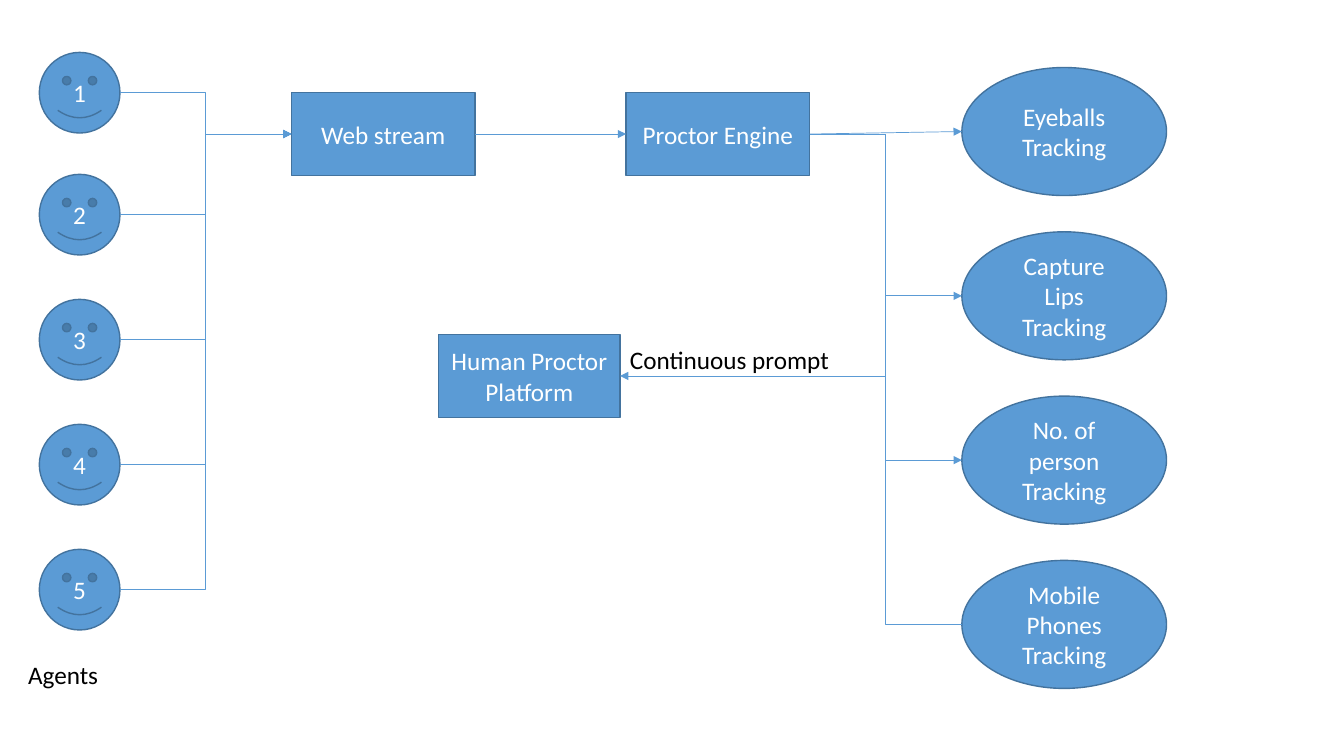
"""Build a slide showing how agents, streams, proctors and trackers connect."""
import lxml.etree
import pptx
import pptx.dml.color
import pptx.enum.shapes
import pptx.enum.text
import pptx.oxml.ns
import pptx.util

Inches = pptx.util.Inches
Kind = pptx.enum.shapes.MSO_SHAPE
Link = pptx.enum.shapes.MSO_CONNECTOR
Align = pptx.enum.text.PP_ALIGN
qn = pptx.oxml.ns.qn


def color(code):
    return pptx.dml.color.RGBColor.from_string(code)


class Board:
    font, size = "Calibri", 18
    fill, edge = "5B9BD5", "43739E"
    light, dark = "FFFFFF", "000000"

    def __init__(self, slide):
        self.shapes = slide.shapes

    def words(self, frame, text, ink, align):
        frame.text = text
        for para in frame.paragraphs:
            para.alignment = align
            for run in para.runs:
                run.font.name = self.font
                run.font.size = pptx.util.Pt(self.size)
                run.font.color.rgb = color(ink)

    def node(self, kind, text, left, top, width, height):
        shape = self.shapes.add_shape(
            kind, Inches(left), Inches(top), Inches(width), Inches(height))
        shape.shadow.inherit = False
        shape.fill.solid()
        shape.fill.fore_color.rgb = color(self.fill)
        shape.line.color.rgb = color(self.edge)
        shape.line.width = pptx.util.Pt(1)
        shape.text_frame.word_wrap = True
        shape.text_frame.vertical_anchor = pptx.enum.text.MSO_ANCHOR.MIDDLE
        self.words(shape.text_frame, text, self.light, Align.CENTER)
        return shape

    def label(self, text, left, top, width, height):
        box = self.shapes.add_textbox(
            Inches(left), Inches(top), Inches(width), Inches(height))
        box.text_frame.word_wrap = False
        box.text_frame.auto_size = pptx.enum.text.MSO_AUTO_SIZE.SHAPE_TO_FIT_TEXT
        self.words(box.text_frame, text, self.dark, Align.LEFT)

    def line(self, kind, start, end, arrow=True):
        link = self.shapes.add_connector(kind, *start, *end)
        link.line.color.rgb = color(self.fill)
        link.line.width = pptx.util.Pt(0.5)
        props = link.element.spPr
        if arrow:
            lxml.etree.SubElement(
                props.find(qn("a:ln")), qn("a:tailEnd"), type="triangle")
        lxml.etree.SubElement(props, qn("a:effectLst"))
        return link

    def join(self, first, last, kind=Link.ELBOW, arrow=True):
        start, end = right(first), left(last)
        link = self.line(kind, start, end, arrow)
        link.begin_connect(first, 3)
        link.end_connect(last, 1)
        for tag, shape, index in (("a:stCxn", first, 6), ("a:endCxn", last, 2)):
            if shape.auto_shape_type != Kind.RECTANGLE:
                next(link.element.iter(qn(tag))).set("idx", str(index))
        link.begin_x, link.begin_y = start
        link.end_x, link.end_y = end


def right(shape):
    return shape.left + shape.width, shape.top + shape.height // 2


def left(shape):
    return shape.left, shape.top + shape.height // 2


deck = pptx.Presentation()
deck.slide_width, deck.slide_height = Inches(13.33), Inches(7.5)
board = Board(deck.slides.add_slide(deck.slide_layouts[6]))

human = board.node(Kind.RECTANGLE, "Human Proctor Platform", 4.35, 3.32, 1.8, 0.82)
stream, engine = [
    board.node(Kind.RECTANGLE, text, x, 0.92, 1.82, 0.82)
    for text, x in (("Web stream", 2.89), ("Proctor Engine", 6.21))]
board.join(stream, engine, Link.STRAIGHT)

goals = ["Eyeballs Tracking", "Capture Lips Tracking",
         "No. of person Tracking", "Mobile Phones Tracking"]
tracks = [board.node(Kind.OVAL, text, 9.54, 0.67 + 1.63 * row, 2.03, 1.27)
          for row, text in enumerate(goals)]
for track in tracks:
    board.join(engine, track,
               Link.STRAIGHT if track is tracks[0] else Link.ELBOW,
               arrow=track is not tracks[-1])

for number, top in enumerate((0.52, 1.73, 2.97, 4.21, 5.45), 1):
    agent = board.node(Kind.SMILEY_FACE, str(number), 0.39, top, 0.8, 0.8)
    board.join(agent, stream)

trunk = (right(engine)[0] + tracks[0].left) // 2
prompt = board.line(Link.STRAIGHT, (trunk, right(human)[1]), right(human))
prompt.end_connect(human, 3)
board.label("Continuous prompt", 6.15, 3.37, 2.2, 0.4)
board.label("Agents", 0.18, 6.49, 0.9, 0.4)

deck.save("out.pptx")
